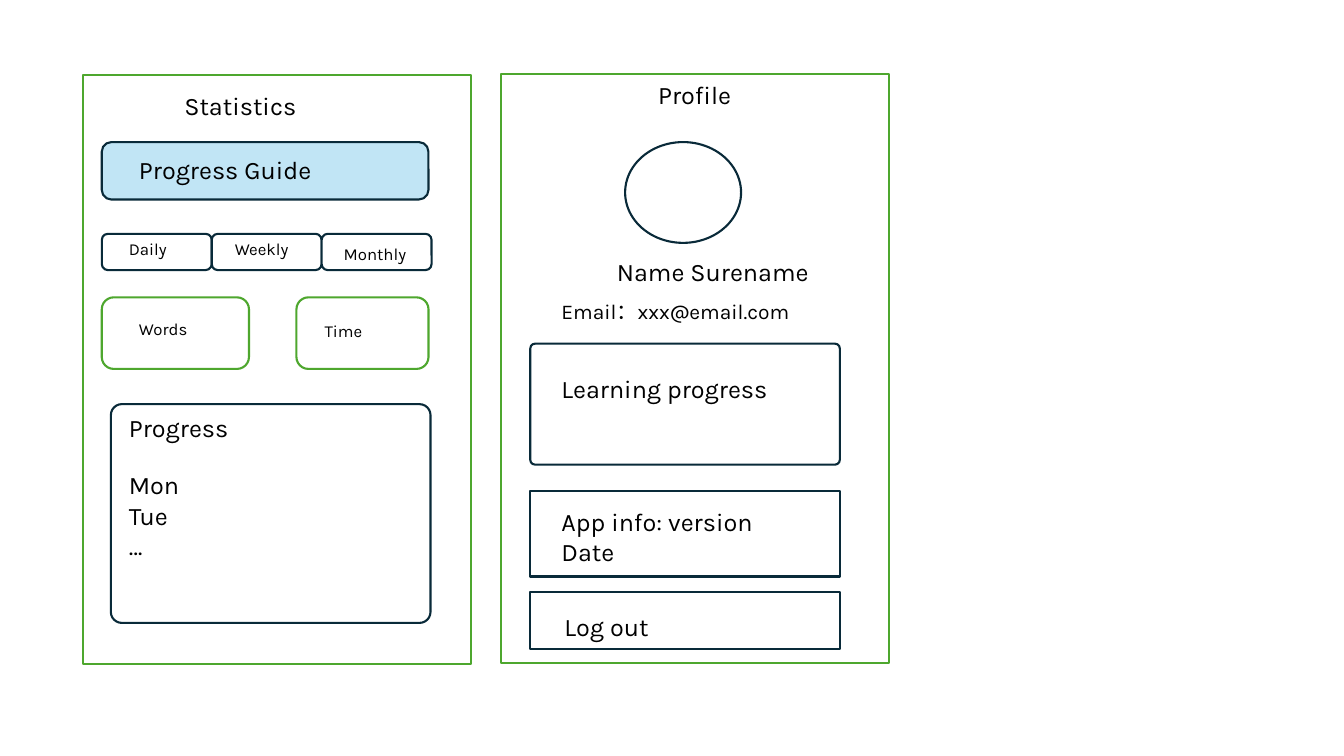
from pptx import Presentation
from pptx.dml.color import RGBColor
from pptx.enum.shapes import MSO_SHAPE
from pptx.enum.text import MSO_AUTO_SIZE
from pptx.util import Pt

SCALE = 9144
FONT = "Karla"
COLORS = {
    "white": "FFFFFF",
    "green": "4EA72E",
    "navy": "092A39",
    "sky": "C1E5F5",
    "text": "000000",
}
PANEL_WIDTH, PANEL_HEIGHT = 385, 585


def px(length):
    return length * SCALE


def color(name):
    return RGBColor.from_string(COLORS[name])


def add_outline(page, kind, left, top, width, height, line="navy", fill="white", radius=None):
    shape = page.shapes.add_shape(kind, px(left), px(top), px(width), px(height))
    shape.shadow.inherit = False
    shape.fill.solid()
    shape.fill.fore_color.rgb = color(fill)
    shape.line.color.rgb = color(line)
    shape.line.width = Pt(1.5)
    if radius is not None:
        shape.adjustments[0] = radius


def add_label(page, left, top, width, height, lines, size=18):
    box = page.shapes.add_textbox(px(left), px(top), px(width), px(height))
    frame = box.text_frame
    frame.word_wrap = True
    frame.auto_size = MSO_AUTO_SIZE.SHAPE_TO_FIT_TEXT
    frame.text = "\n".join(lines)
    for para in frame.paragraphs:
        para.font.name = FONT
        para.font.size = Pt(size)
        para.font.color.rgb = color("text")


def add_period_tabs(page, left, top):
    tab_width = 109
    tabs = [("Daily", 17, 0), ("Weekly", 13, 0), ("Monthly", 12, 5)]
    for index in range(len(tabs)):
        add_outline(page, MSO_SHAPE.ROUNDED_RECTANGLE, left + index * tab_width, top, tab_width, 36)
    for index, (name, indent, drop) in enumerate(tabs):
        add_label(page, left + index * tab_width + indent, top + drop, 85, 30, [name], 12)


def add_statistics(page, left, top):
    rounded = MSO_SHAPE.ROUNDED_RECTANGLE
    add_outline(page, MSO_SHAPE.RECTANGLE, left, top, PANEL_WIDTH, PANEL_HEIGHT, "green")
    add_label(page, left + 91, top + 11, 253, 40, ["Statistics"])
    add_outline(page, rounded, left + 19, top + 67, 324, 57, fill="sky")
    add_label(page, left + 46, top + 74, 262, 40, ["Progress Guide"])
    add_period_tabs(page, left + 19, top + 158)
    cards = [("Words", 19, 146, 27, 16), ("Time", 212, 131, 18, 18)]
    for name, offset, width, indent, drop in cards:
        add_outline(page, rounded, left + offset, top + 221, width, 71, "green")
        add_label(page, left + offset + indent, top + 221 + drop, 85, 30, [name], 12)
    add_outline(page, rounded, left + 28, top + 327, 317, 217, radius=0.05)
    add_label(page, left + 36, top + 330, 262, 40, ["Progress"])
    add_label(page, left + 36, top + 387, 200, 101, ["Mon", "Tue", "…"])


def add_profile(page, left, top):
    add_outline(page, MSO_SHAPE.RECTANGLE, left, top, PANEL_WIDTH, PANEL_HEIGHT, "green")
    add_label(page, left + 146, top + 1, 253, 41, ["Profile"])
    add_outline(page, MSO_SHAPE.OVAL, left + 123, top + 68, 115, 100)
    add_label(page, left + 105, top + 176, 212, 40, ["Name Surename"])
    add_label(page, left + 50, top + 218, 306, 35, ["Email：xxx@email.com"], 15)
    cards = [
        (MSO_SHAPE.ROUNDED_RECTANGLE, 268, 120, 0.04, 21, 24, 237, ["Learning progress"]),
        (MSO_SHAPE.RECTANGLE, 414, 85, None, 21, 10, 286, ["App info: version", "Date"]),
        (MSO_SHAPE.RECTANGLE, 514, 57, None, 24, 15, 210, ["Log out"]),
    ]
    for kind, offset, height, radius, indent, drop, width, lines in cards:
        add_outline(page, kind, left + 29, top + offset, 307, height, radius=radius)
        add_label(page, left + 29 + indent, top + offset + drop, width, 10 + 30 * len(lines), lines)


def main():
    deck = Presentation()
    deck.slide_width = px(1333)
    deck.slide_height = px(750)
    page = deck.slides.add_slide(deck.slide_layouts[6])
    add_statistics(page, 82, 74)
    add_profile(page, 497, 73)
    deck.save("out.pptx")


if __name__ == "__main__":
    main()
